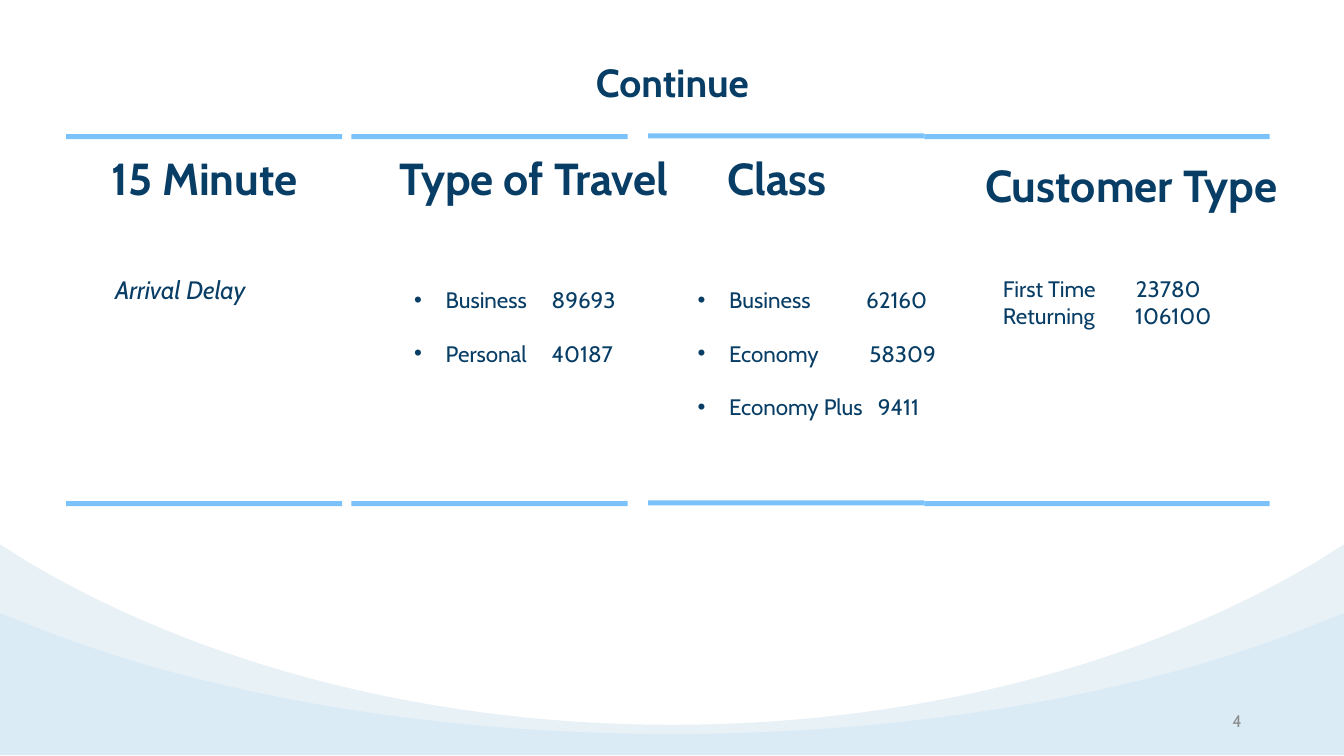
from dataclasses import dataclass

from lxml.etree import SubElement
from pptx import Presentation
from pptx.dml.color import RGBColor
from pptx.enum.shapes import MSO_SHAPE
from pptx.enum.text import MSO_ANCHOR, MSO_AUTO_SIZE, PP_ALIGN
from pptx.oxml.ns import qn
from pptx.util import Pt


@dataclass(frozen=True)
class Theme:
    """Colours, font and type sizes of the slide."""
    font: str = "Cabin"
    navy: str = "083D65"
    sky: str = "7AC2F9"
    mist: str = "E8F1F6"
    grey: str = "8C8C8C"
    title: int = 28
    heading: int = 32
    caption: int = 18
    body: int = 16
    number: int = 12


THEME = Theme()
WIDTH, HEIGHT = 960, 540
WAVE_FOOT = 539.3
RULES = [(47.2, 197.3, 95.8), (251, 197.3, 95.8), (463, 197.3, 95.3), (660.3, 246.7, 95.8)]
RULE_GAP, RULE_HEIGHT = 262.1, 3.6
HEADINGS = [
    ("15 Minute", 53.3, 107.7, 185.8),
    ("Type of Travel", 265, 107.7, 233.3),
    ("Class", 468, 107.7, 174.2),
    ("Customer Type", 665.3, 113, 285.8),
]
TRAVEL = [("Business", "89693", 98.3), ("Personal", "40187", 98.3)]
CABINS = [("Business", "62160", 120.3), ("Economy", "58309", 122.5), ("Economy Plus", "9411", 128.7)]
CUSTOMERS = [("First Time", "23780", 95), ("Returning", "106100", 94.4)]
BULLET_INDENT = 22.5


def paint(shape, colour, opacity=100):
    """Fill a shape without outline or shadow."""
    shape.shadow.inherit = False
    shape.line.fill.background()
    shape.fill.solid()
    shape.fill.fore_color.rgb = RGBColor.from_string(colour)
    if opacity < 100:
        tint = shape.fill._xPr.find(qn("a:solidFill"))[0]
        SubElement(tint, qn("a:alpha"), val=str(opacity * 1000))


def style(paragraph, size, colour=THEME.navy, bold=False, italic=False):
    """Set the type of a whole paragraph."""
    font = paragraph.font
    font.name, font.size, font.bold, font.italic = THEME.font, Pt(size), bold, italic
    font.color.rgb = RGBColor.from_string(colour)


def add_frame(slide, left, top, width, height):
    """Add a wrapping text box without margins and return its frame."""
    frame = slide.shapes.add_textbox(Pt(left), Pt(top), Pt(width), Pt(height)).text_frame
    frame.word_wrap = True
    frame.auto_size = MSO_AUTO_SIZE.SHAPE_TO_FIT_TEXT
    frame.margin_left = frame.margin_right = frame.margin_top = frame.margin_bottom = 0
    return frame


def add_line(slide, text, box, size, align=PP_ALIGN.CENTER, **look):
    """Add a single line of text and return its frame."""
    frame = add_frame(slide, *box)
    paragraph = frame.paragraphs[0]
    paragraph.text = text
    paragraph.alignment = align
    style(paragraph, size, **look)
    return frame


def add_counts(slide, rows, box, bulleted=False):
    """Add labels with their counts set at tab stops."""
    frame = add_frame(slide, *box)
    for index, (label, count, stop) in enumerate(rows):
        paragraph = frame.add_paragraph() if index else frame.paragraphs[0]
        paragraph.text = f"{label}\t{count}"
        properties = paragraph._p.get_or_add_pPr()
        if bulleted:
            properties.set("marL", str(Pt(BULLET_INDENT)))
            properties.set("indent", str(-Pt(BULLET_INDENT)))
            paragraph.line_spacing = 2.0
            SubElement(properties, qn("a:buFont"), typeface="Arial")
            SubElement(properties, qn("a:buChar"), char="•")
        tabs = SubElement(properties, qn("a:tabLst"))
        SubElement(tabs, qn("a:tab"), pos=str(Pt(stop)), algn="l")
        style(paragraph, THEME.body)


def add_rules(slide, left, width, top):
    """Add the lower and upper rule of a column as a group."""
    column = slide.shapes.add_group_shape()
    for y in (top + RULE_GAP, top):
        rule = column.shapes.add_shape(MSO_SHAPE.RECTANGLE, Pt(left), Pt(y), Pt(width), Pt(RULE_HEIGHT))
        paint(rule, THEME.sky)


def bend(segment, controls):
    """Turn a straight path segment into a cubic curve."""
    segment.tag = qn("a:cubicBezTo")
    for position, (x, y) in enumerate(controls):
        control = SubElement(segment, qn("a:pt"), x=str(Pt(x)), y=str(Pt(y)))
        segment.insert(position, control)


def add_wave(group, edge, shoulder, slope, valley, colour, opacity=100):
    """Add a symmetric valley that rises to both slide edges."""
    outline = [(0, edge), (18, shoulder), (WIDTH / 2, valley), (WIDTH - 18, shoulder),
               (WIDTH, edge), (WIDTH, WAVE_FOOT), (0, WAVE_FOOT)]
    points = [(Pt(x), Pt(y)) for x, y in outline]
    builder = group.shapes.build_freeform(*points[0])
    builder.add_line_segments(points[1:], close=True)
    wave = builder.convert_to_shape()
    descent = [(139.7, slope - edge), (302.4, valley - edge)]
    ascent = [(WIDTH - x, y) for x, y in reversed(descent)]
    segments = list(wave._element.iter(qn("a:lnTo")))
    bend(segments[1], descent)
    bend(segments[2], ascent)
    paint(wave, colour, opacity)


def main():
    """Build the slide and save it."""
    deck = Presentation()
    deck.slide_width, deck.slide_height = Pt(WIDTH), Pt(HEIGHT)
    slide = deck.slides.add_slide(deck.slide_layouts[6])
    add_line(slide, "Continue", (215.3, 41.6, 530, 33.8), THEME.title, bold=True)
    for rule in RULES:
        add_rules(slide, *rule)
    for text, left, top, width in HEADINGS:
        add_line(slide, text, (left, top, width, 38.9), THEME.heading, bold=True)
    add_line(slide, "Arrival Delay", (64, 196.3, 129.6, 21.6), THEME.caption, italic=True)
    add_counts(slide, TRAVEL, (295.8, 185.2, 152.6, 71.3), bulleted=True)
    add_counts(slide, CABINS, (498.4, 185.2, 185.8, 110.2), bulleted=True)
    waves = slide.shapes.add_group_shape()
    add_wave(waves, 388.8, 400.3, 473, 517.7, THEME.mist)
    add_wave(waves, 437.8, 445, 494.6, 524.2, THEME.sky, opacity=11)
    add_counts(slide, CUSTOMERS, (716.4, 196.3, 181.4, 38.9))
    number = add_line(slide, "4", (678.2, 500.4, 208.8, 28.8), THEME.number, PP_ALIGN.RIGHT, colour=THEME.grey)
    number.auto_size = MSO_AUTO_SIZE.NONE
    number.vertical_anchor = MSO_ANCHOR.MIDDLE
    deck.save("out.pptx")


if __name__ == "__main__":
    main()
